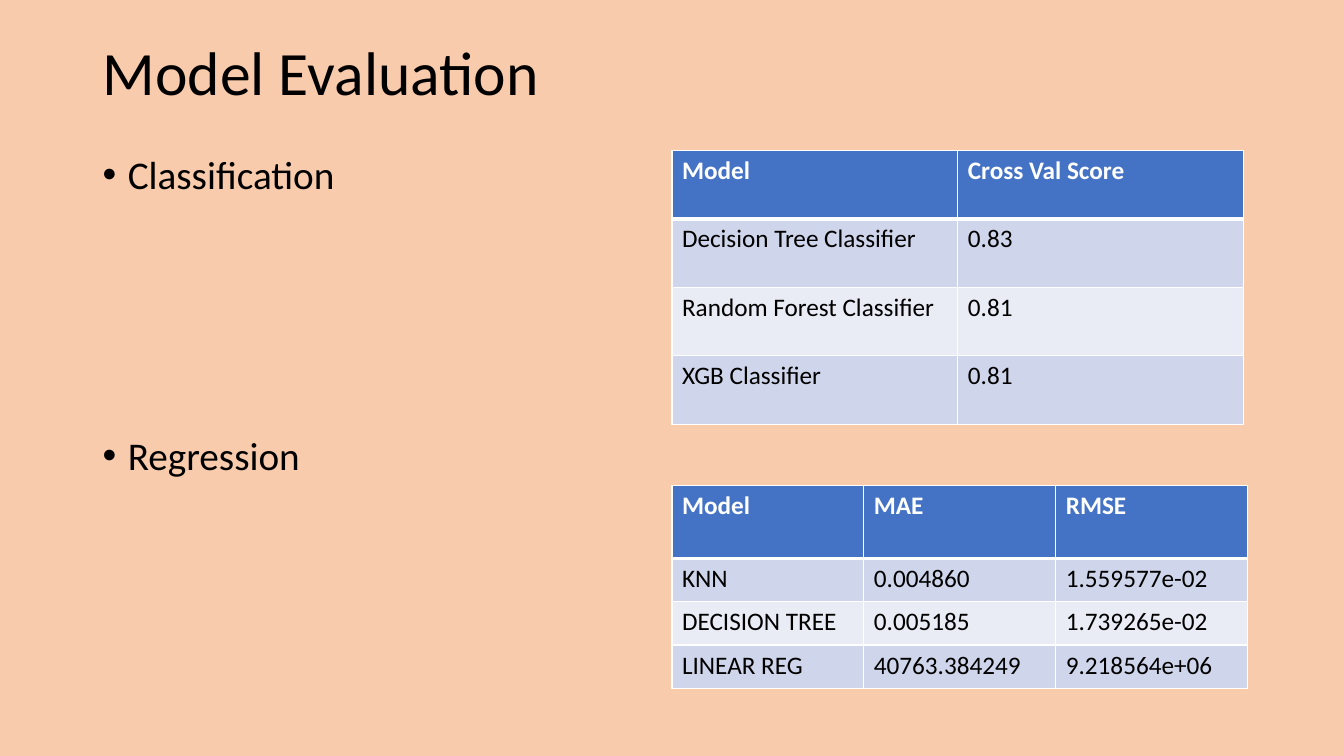
"""Build the model evaluation slide with its two score tables."""
import pptx
import pptx.dml.color
import pptx.enum.text
import pptx.util
import lxml.etree

WIDTH, HEIGHT = 13.33, 7.5
FONT = "Calibri"
BLACK, WHITE, BACKGROUND = "000000", "FFFFFF", "F8CBAD"
HEADER_FILL, BAND_FILLS = "4472C4", ("CFD5EA", "E9EBF5")
TITLE = "Model Evaluation"
TOPICS = [("Classification", 10), ("Regression", 170.6)]
TABLE_LEFT = WIDTH / 2
TABLES = [
    {
        "top": 1.49, "width": 5.67, "header_height": 0.68, "row_height": 0.68,
        "rows": [
            ("Model", "Cross Val Score"),
            ("Decision Tree Classifier", "0.83"),
            ("Random Forest Classifier", "0.81"),
            ("XGB Classifier", "0.81"),
        ],
    },
    {
        "top": 4.82, "width": 5.71, "header_height": 0.72, "row_height": 0.43,
        "rows": [
            ("Model", "MAE", "RMSE"),
            ("KNN", "0.004860", "1.559577e-02"),
            ("DECISION TREE", "0.005185", "1.739265e-02"),
            ("LINEAR REG", "40763.384249", "9.218564e+06"),
        ],
    },
]


def inches(value):
    return pptx.util.Inches(value)


def color(value):
    return pptx.dml.color.RGBColor.from_string(value)


def add_xml(parent, tag, **attributes):
    return lxml.etree.SubElement(parent, pptx.oxml.ns.qn(tag), attributes)


def write(para, text, size, shade=BLACK, bold=False):
    span = para.add_run()
    span.text = text
    span.font.name = FONT
    span.font.size = pptx.util.Pt(size)
    span.font.bold = bold
    span.font.color.rgb = color(shade)


def add_title(page):
    title = page.shapes.title
    title.left, title.top = inches(0.92), inches(0.02)
    title.width, title.height = inches(11.5), inches(1.45)
    title.text_frame.vertical_anchor = pptx.enum.text.MSO_ANCHOR.MIDDLE
    para = title.text_frame.paragraphs[0]
    para.alignment = pptx.enum.text.PP_ALIGN.LEFT
    para.line_spacing = 0.9
    write(para, TITLE, 44)


def add_topics(page):
    box = page.shapes.add_textbox(inches(0.92), inches(1.49), inches(5.67), inches(4.76))
    frame = box.text_frame
    frame.word_wrap = True
    for index, (topic, space) in enumerate(TOPICS):
        para = frame.add_paragraph() if index else frame.paragraphs[0]
        para.line_spacing = 0.9
        para.space_before = pptx.util.Pt(space)
        write(para, topic, 28)
        properties = para._p.get_or_add_pPr()
        properties.set("marL", str(inches(0.25)))
        properties.set("indent", str(-inches(0.25)))
        add_xml(properties, "a:buFont", typeface="Arial")
        add_xml(properties, "a:buChar", char="•")


def add_borders(cell, row):
    properties = cell._tc.get_or_add_tcPr()
    widths = {"L": 1, "R": 1, "T": 3 if row == 1 else 1, "B": 3 if row == 0 else 1}
    for side, width in widths.items():
        line = add_xml(properties, "a:ln" + side, w=str(pptx.util.Pt(width)))
        add_xml(add_xml(line, "a:solidFill"), "a:srgbClr", val=WHITE)


def add_score_table(page, top, width, header_height, row_height, rows):
    height = header_height + row_height * (len(rows) - 1)
    table = page.shapes.add_table(
        len(rows), len(rows[0]), inches(TABLE_LEFT), inches(top), inches(width), inches(height)
    ).table
    for column in table.columns:
        column.width = inches(width / len(rows[0]))
    for row, values in enumerate(rows):
        header = row == 0
        table.rows[row].height = inches(header_height if header else row_height)
        for column, value in enumerate(values):
            cell = table.cell(row, column)
            add_borders(cell, row)
            cell.fill.solid()
            cell.fill.fore_color.rgb = color(HEADER_FILL if header else BAND_FILLS[(row - 1) % 2])
            write(cell.text_frame.paragraphs[0], value, 18, WHITE if header else BLACK, header)


def main():
    deck = pptx.Presentation()
    deck.slide_width, deck.slide_height = inches(WIDTH), inches(HEIGHT)
    page = deck.slides.add_slide(deck.slide_layouts[5])
    page.background.fill.solid()
    page.background.fill.fore_color.rgb = color(BACKGROUND)
    add_title(page)
    add_topics(page)
    for table in TABLES:
        add_score_table(page, **table)
    deck.save("out.pptx")


if __name__ == "__main__":
    main()
